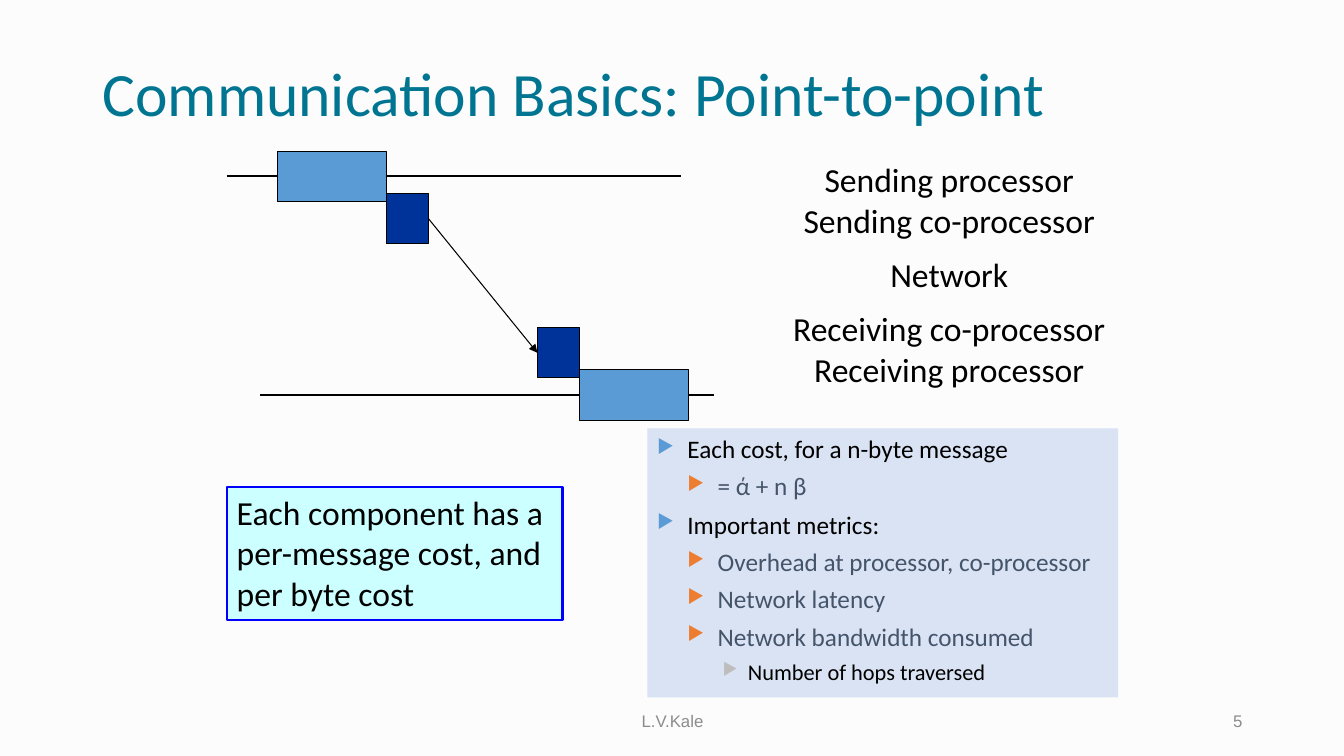
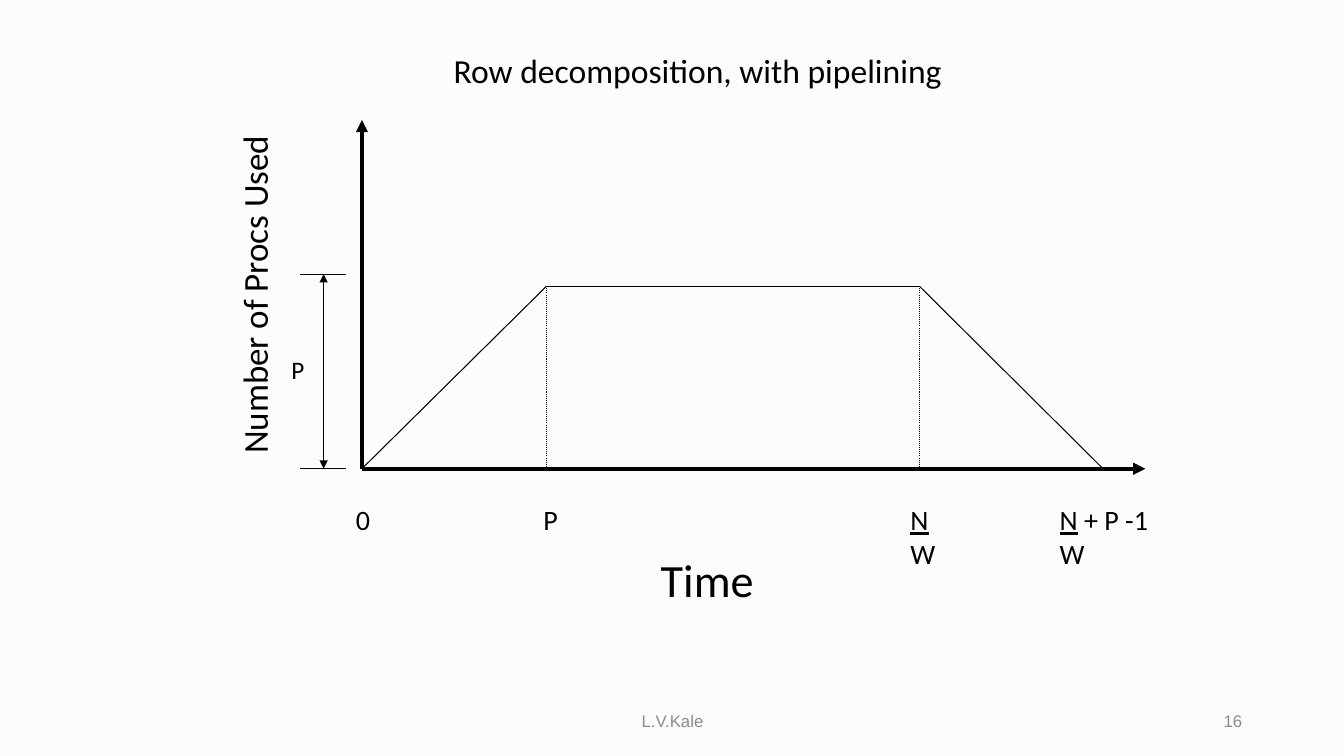
"""Build two slides on message cost and pipelined row decomposition."""
from lxml.etree import SubElement
from pptx import Presentation
from pptx.dml.color import RGBColor
from pptx.enum.dml import MSO_LINE
from pptx.enum.shapes import MSO_CONNECTOR, MSO_SHAPE
from pptx.enum.text import MSO_ANCHOR, PP_ALIGN
from pptx.oxml.ns import qn
from pptx.util import Inches, Pt

COLORS = {
    "background": "FCFCFC",
    "title": "007592",
    "footer": "8C8C8C",
    "text": "000000",
    "muted": "44546A",
    "processor": "5B9BD5",
    "coprocessor": "003399",
    "note_fill": "CCFFFF",
    "note_line": "0000FF",
    "panel": "DAE3F3",
    "orange": "ED7D31",
    "gray": "BDBDBD",
}
LEVELS = [
    {"margin": 0.3, "hang": 0.3, "before": 6, "bullet": "processor", "size": 18, "color": "text"},
    {"margin": 0.6, "hang": 0.3, "before": 5, "bullet": "orange", "size": 18, "color": "muted"},
    {"margin": 0.9, "hang": 0.25, "before": 5, "bullet": "gray", "size": 16, "color": "text"},
]
AUTHOR = "L.V.Kale"


def rgb(name):
    """Return the named colour."""
    return RGBColor.from_string(COLORS[name])


def add_run(paragraph, text, size, color="text", font="Calibri", underline=False):
    """Append one formatted run."""
    run = paragraph.add_run()
    run.text = text
    run.font.size = Pt(size)
    run.font.name = font
    run.font.color.rgb = rgb(color)
    if underline:
        run.font.underline = True


def next_paragraph(frame, index):
    """Return the first paragraph of a frame, or a new one after it."""
    return frame.paragraphs[0] if index == 0 else frame.add_paragraph()


def add_text(slide, box, lines, size, align=PP_ALIGN.LEFT, anchor=MSO_ANCHOR.TOP, **style):
    """Add a wrapping text box with one paragraph per line."""
    frame = slide.shapes.add_textbox(*map(Inches, box)).text_frame
    frame.word_wrap = True
    frame.vertical_anchor = anchor
    for index, line in enumerate(lines):
        paragraph = next_paragraph(frame, index)
        paragraph.alignment = align
        add_run(paragraph, line, size, **style)
    return frame


def add_label(slide, box, lines, size, align=PP_ALIGN.LEFT, rotation=0):
    """Add a non-wrapping chart label whose lines are lists of (text, underline)."""
    shape = slide.shapes.add_textbox(*map(Inches, box))
    shape.rotation = rotation
    frame = shape.text_frame
    frame.word_wrap = False
    frame.margin_left = frame.margin_right = Inches(0.09)
    frame.margin_bottom = Inches(0.04)
    for index, line in enumerate(lines):
        paragraph = next_paragraph(frame, index)
        paragraph.alignment = align
        for text, underline in line:
            add_run(paragraph, text, size, underline=underline)


def add_box(slide, box, fill, line="text", width=0.75):
    """Add a flat rectangle, with no outline if line is None."""
    shape = slide.shapes.add_shape(MSO_SHAPE.RECTANGLE, *map(Inches, box))
    shape.shadow.inherit = False
    shape.fill.solid()
    shape.fill.fore_color.rgb = rgb(fill)
    if line is None:
        shape.line.fill.background()
    else:
        shape.line.color.rgb = rgb(line)
        shape.line.width = Pt(width)
    frame = shape.text_frame
    frame.word_wrap = True
    frame.vertical_anchor = MSO_ANCHOR.TOP
    return frame


def add_line(slide, start, end, width=0.75, dash=None, arrows=()):
    """Add a straight line with optional arrows at headEnd or tailEnd."""
    connector = slide.shapes.add_connector(
        MSO_CONNECTOR.STRAIGHT, *map(Inches, (*start, *end)))
    connector.line.color.rgb = rgb("text")
    connector.line.width = Pt(width)
    if dash is not None:
        connector.line.dash_style = dash
    properties = connector._element.spPr
    for arrow in arrows:
        SubElement(properties.find(qn("a:ln")), qn(f"a:{arrow}"), type="triangle")
    SubElement(properties, qn("a:effectLst"))


def add_bullet(paragraph, text, level, first):
    """Fill a paragraph with a triangle bullet of the given level."""
    style = LEVELS[level]
    properties = paragraph._p.get_or_add_pPr()
    properties.set("marL", str(Inches(style["margin"])))
    properties.set("indent", str(-Inches(style["hang"])))
    color = SubElement(properties, qn("a:buClr"))
    SubElement(color, qn("a:srgbClr"), val=COLORS[style["bullet"]])
    SubElement(properties, qn("a:buSzPct"), val="76000")
    SubElement(properties, qn("a:buChar"), char="▶")
    paragraph.level = level
    paragraph.alignment = PP_ALIGN.LEFT
    if not first:
        paragraph.space_before = Pt(style["before"])
    add_run(paragraph, text, style["size"], style["color"])


def add_base_slide(presentation, number):
    """Add a blank slide with the shared background and footer."""
    slide = presentation.slides.add_slide(presentation.slide_layouts[6])
    slide.background.fill.solid()
    slide.background.fill.fore_color.rgb = rgb("background")
    for box, text, align in (
        ((4.42, 6.95, 4.5, 0.4), AUTHOR, PP_ALIGN.CENTER),
        ((9.42, 6.95, 3, 0.4), str(number), PP_ALIGN.RIGHT),
    ):
        add_text(slide, box, [text], 12, align, MSO_ANCHOR.MIDDLE, color="footer", font="Arial")
    return slide


def build_communication_slide(presentation):
    """Show the path of a message between two processors and its costs."""
    slide = add_base_slide(presentation, 5)
    title = add_text(slide, (0.92, 0.23, 11.5, 1.45), ["Communication Basics: Point-to-point"],
                     44, anchor=MSO_ANCHOR.MIDDLE, color="title")
    title.paragraphs[0].line_spacing = 0.9

    for left, top in ((2.25, 1.75), (2.58, 3.92)):
        add_line(slide, (left, top), (left + 4.5, top), 1.5)
    for left, top, width, fill in (
        (2.75, 1.5, 1.08, "processor"),
        (3.83, 1.92, 0.42, "coprocessor"),
        (5.75, 3.67, 1.08, "processor"),
        (5.33, 3.25, 0.42, "coprocessor"),
    ):
        add_box(slide, (left, top, width, 0.5), fill)
    add_line(slide, (4.25, 2.17), (5.33, 3.5), arrows=["tailEnd"])

    stages = add_text(slide, (7.75, 1.53, 3.33, 2.39), [
        "Sending processor", "Sending co-processor", "Network",
        "Receiving co-processor", "Receiving processor"], 24, PP_ALIGN.CENTER)
    for paragraph in stages.paragraphs[2:4]:
        paragraph.space_before = Pt(10)

    note = add_box(slide, (2.25, 4.83, 3.33, 1.32), "note_fill", "note_line", 1.75)
    note.paragraphs[0].alignment = PP_ALIGN.LEFT
    add_run(note.paragraphs[0], "Each component has a per-message cost, and per byte cost", 24)

    panel = add_box(slide, (6.42, 4.25, 4.67, 2.67), "panel", None)
    for index, (level, text) in enumerate((
        (0, "Each cost, for a n-byte message"),
        (1, "= ά + n β"),
        (0, "Important metrics:"),
        (1, "Overhead at processor, co-processor"),
        (1, "Network latency"),
        (1, "Network bandwidth consumed"),
        (2, "Number of hops traversed"),
    )):
        add_bullet(next_paragraph(panel, index), text, level, index == 0)


def build_pipeline_slide(presentation):
    """Plot the processors in use over time for a pipelined decomposition."""
    slide = add_base_slide(presentation, 16)
    origin, base, plateau = 3.59, 4.65, 2.84
    ramp_end, drain_start, finish = 5.42, 9.12, 10.94
    bracket_top, bracket_x = 2.72, 3.21

    heading = add_text(slide, (1.92, 0.25, 9.5, 0.89), ["Row decomposition, with pipelining"],
                       24, PP_ALIGN.CENTER, MSO_ANCHOR.MIDDLE)
    heading.paragraphs[0]._p.get_or_add_pPr().set("marL", str(Inches(0.5)))

    for end in ((11.36, base), (origin, 1.19)):
        add_line(slide, (origin, base), end, 2.89, arrows=["tailEnd"])
    profile = [(origin, base), (ramp_end, plateau), (drain_start, plateau), (finish, base)]
    for start, end in zip(profile, profile[1:]):
        add_line(slide, start, end)
    for x in (ramp_end, drain_start):
        add_line(slide, (x, plateau), (x, base), dash=MSO_LINE.ROUND_DOT)
    for y in (bracket_top, base):
        add_line(slide, (2.98, y), (3.43, y))
    add_line(slide, (bracket_x, bracket_top), (bracket_x, base), arrows=["headEnd", "tailEnd"])

    add_label(slide, (5.83, 5.42, 2.37, 0.62), [[("Time", False)]], 33, PP_ALIGN.CENTER)
    add_label(slide, (0.96, 2.47, 3.51, 0.91), [[("Number of Procs Used", False)]],
              25, PP_ALIGN.CENTER, 270)
    add_label(slide, (2.8, 3.47, 0.31, 0.35), [[("P", False)]], 18)
    denominator = [("W", False)]
    for left, width, height, lines in (
        (3.44, 0.35, 0.41, [[("0", False)]]),
        (5.3, 0.35, 0.41, [[("P", False)]]),
        (8.94, 0.45, 0.73, [[("N", True)], denominator]),
        (10.42, 1.32, 0.73, [[("N", True), (" + P -1", False)], denominator]),
    ):
        add_label(slide, (left, 4.94, width, height), lines, 20)


def main():
    """Create and save the presentation."""
    presentation = Presentation()
    presentation.slide_width = Inches(13.33)
    presentation.slide_height = Inches(7.5)
    build_communication_slide(presentation)
    build_pipeline_slide(presentation)
    presentation.save("out.pptx")


if __name__ == "__main__":
    main()
